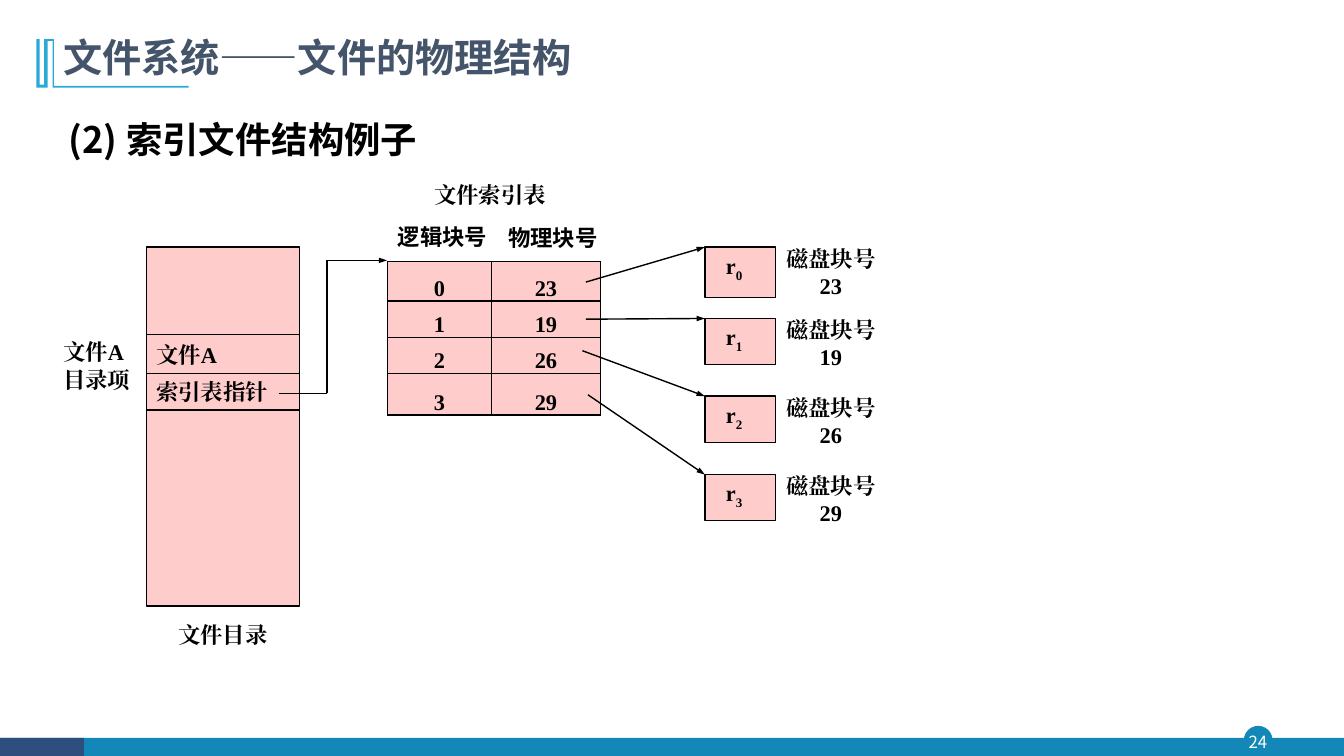
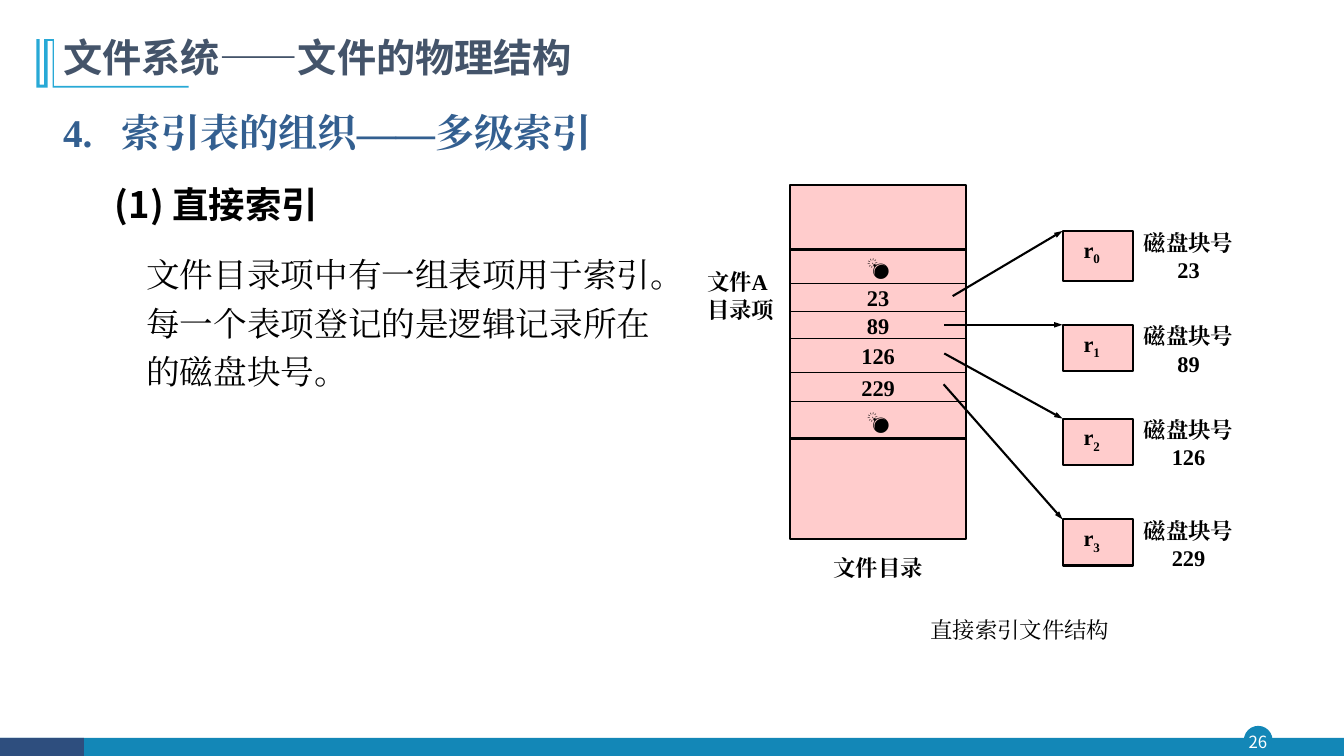
from itertools import pairwise

from pptx import Presentation
from pptx.dml.color import RGBColor
from pptx.enum.shapes import MSO_CONNECTOR as CONNECTOR, MSO_SHAPE as SHAPE
from pptx.enum.text import MSO_ANCHOR as ANCHOR, PP_ALIGN as ALIGN
from pptx.oxml.ns import qn
from pptx.oxml.xmlchemy import OxmlElement
from pptx.util import Pt

BLACK = RGBColor(0x00, 0x00, 0x00)
WHITE = RGBColor(0xFF, 0xFF, 0xFF)
PINK = RGBColor(0xFF, 0xCC, 0xCC)
TEAL = RGBColor(0x13, 0x87, 0xB7)
NAVY = RGBColor(0x2E, 0x4E, 0x7E)
CYAN = RGBColor(0x28, 0xA9, 0xD6)
SLATE = RGBColor(0x44, 0x54, 0x6A)
BLUE = RGBColor(0x33, 0x5F, 0x90)

SERIF = "Times New Roman"
SANS = "Noto Sans CJK SC"
ARIAL = "Arial"

TITLE = "文件系统——文件的物理结构"
MARK_OUTLINE = [
    (38.6, 28), (38.6, 61.3), (134.8, 61.3), (134.8, 62.5), (37.6, 62.5), (37.6, 29.3),
    (34, 29.3), (34, 62.5), (26, 62.5), (26, 28), (28.3, 28), (28.3, 60.5),
    (31.5, 60.5), (31.5, 28),
]


def add_element(parent, tag, **attributes):
    """Append an XML child with the given attributes."""
    child = OxmlElement(tag)
    for name, value in attributes.items():
        child.set(name, str(value))
    parent.append(child)
    return child


def write_text(frame, text, *, size=16, bold=True, font=SERIF, color=BLACK, align=ALIGN.LEFT,
               anchor=ANCHOR.TOP, inset=(7.2, 0), line=None, hanging=0, subscript=""):
    """Fill a text frame, one paragraph for each line of text."""
    frame.word_wrap = True
    frame.vertical_anchor = anchor
    frame.margin_left, frame.margin_right = Pt(inset[0]), Pt(min(inset[0], 7.2))
    frame.margin_top = frame.margin_bottom = Pt(inset[1])
    for index, content in enumerate(text.split("\n")):
        paragraph = frame.add_paragraph() if index else frame.paragraphs[0]
        paragraph.alignment = align
        if line:
            paragraph.line_spacing = Pt(line)
        if hanging:
            properties = paragraph._p.get_or_add_pPr()
            properties.set("marL", str(Pt(hanging)))
            properties.set("indent", str(-Pt(hanging)))
        for part in filter(None, (content, subscript)):
            run = paragraph.add_run()
            run.text = part
            run.font.size = Pt(size)
            run.font.bold = bold
            run.font.name = font
            run.font.color.rgb = color
            properties = run._r.get_or_add_rPr()
            add_element(properties, "a:ea", typeface=font)
            if part is subscript:
                properties.set("baseline", "-25000")


def add_label(slide, box, text, **style):
    """Add a text box at left, top, width, height."""
    shape = slide.shapes.add_textbox(*map(Pt, box))
    write_text(shape.text_frame, text, **style)


def paint(shape, fill, line=None, weight=1):
    """Give a shape a flat fill and an optional outline."""
    shape.shadow.inherit = False
    shape.fill.solid()
    shape.fill.fore_color.rgb = fill
    if line is None:
        shape.line.fill.background()
    else:
        shape.line.color.rgb = line
        shape.line.width = Pt(weight)


def add_box(slide, box, fill, line=None, weight=1, kind=SHAPE.RECTANGLE):
    """Add a painted preset shape."""
    shape = slide.shapes.add_shape(kind, *map(Pt, box))
    paint(shape, fill, line, weight)
    return shape


def add_line(slide, start, end, weight=1, arrow=False):
    """Draw a straight black line, with an arrowhead at its end if asked."""
    connector = slide.shapes.add_connector(CONNECTOR.STRAIGHT, *map(Pt, (*start, *end)))
    connector.line.color.rgb = BLACK
    connector.line.width = Pt(weight)
    properties = connector._element.spPr
    if arrow:
        add_element(properties.find(qn("a:ln")), "a:tailEnd", type="triangle", w="sm", len="med")
    add_element(properties, "a:effectLst")


def add_frame(slide, number):
    """Draw the title, its mark, the footer band and the page number."""
    add_box(slide, (889, 519, 19.5, 19.5), TEAL, TEAL, kind=SHAPE.OVAL)
    add_box(slide, (0, 527, 960, 13), TEAL)
    add_box(slide, (0, 527, 60, 13), NAVY)
    add_label(slide, (887, 519, 23, 22), str(number), size=12, bold=False, font=SANS,
              color=WHITE, align=ALIGN.CENTER, anchor=ANCHOR.MIDDLE, inset=(0, 0))
    start, *rest = [(Pt(x), Pt(y)) for x, y in MARK_OUTLINE]
    builder = slide.shapes.build_freeform(*start)
    builder.add_line_segments(rest, close=True)
    paint(builder.convert_to_shape(), CYAN)
    add_label(slide, (38, 20.5, 755, 40), TITLE, size=28, font=SANS, color=SLATE,
              anchor=ANCHOR.MIDDLE)


def add_directory(slide, box, dividers, entries, label_top, weight, align):
    """Draw a file directory whose entries lie between its dividers."""
    left, top, width, height = box
    add_box(slide, box, PINK, BLACK, weight)
    for offset, thickness in dividers:
        y = top + offset
        add_line(slide, (left, y), (left + width, y), thickness)
    for text, ((upper, _), (lower, _)) in zip(entries, pairwise(dividers)):
        add_label(slide, (left, top + upper, width, lower - upper), text,
                  font=ARIAL if text == "💣" else SERIF, align=align, anchor=ANCHOR.MIDDLE)
    add_label(slide, (left - 66.5, top + label_top, 75, 40), "文件A\n目录项", line=19.5)
    add_label(slide, (left, top + height + 11, width, 24), "文件目录", align=ALIGN.CENTER)


def add_disk_blocks(slide, left, blocks, weight):
    """Draw numbered disk blocks, each with its label and incoming arrow."""
    for index, (top, number, start) in enumerate(blocks):
        shape = add_box(slide, (left, top, 50.5, 33 if index else 36), PINK, BLACK, weight)
        write_text(shape.text_frame, "r", subscript=str(index), inset=(15, 3.6))
        add_label(slide, (left + 45, top - 2, 90, 40), f"磁盘块号\n{number}",
                  align=ALIGN.CENTER, line=19.5)
        add_line(slide, start, (left, top), weight, arrow=True)


def add_index_table(slide, left, top, numbers):
    """Draw the index table with its title and column headings."""
    widths, heights = (74, 78), (28, 26, 26, 29.5)
    graphic = slide.shapes.add_table(len(numbers), 2, *map(Pt, (left, top, sum(widths), sum(heights))))
    table = graphic.table
    table.first_row = table.horz_banding = False
    for column, width in zip(table.columns, widths):
        column.width = Pt(width)
    for index, (number, height) in enumerate(zip(numbers, heights)):
        table.rows[index].height = Pt(height)
        for cell, value in zip(table.rows[index].cells, (index, number)):
            write_text(cell.text_frame, str(value), align=ALIGN.CENTER)
            cell.vertical_anchor = ANCHOR.BOTTOM
            cell.margin_top = cell.margin_bottom = 0
            properties = cell._tc.get_or_add_tcPr()
            for side in ("L", "R", "T", "B"):
                border = add_element(properties, f"a:ln{side}", w=Pt(1))
                add_element(add_element(border, "a:solidFill"), "a:srgbClr", val=BLACK)
            cell.fill.solid()
            cell.fill.fore_color.rgb = PINK
    headings = [(23, -58, 100, "文件索引表", SERIF), (-6, -28, 90, "逻辑块号", ARIAL),
                (73, -27, 90, "物理块号", ARIAL)]
    for x, y, width, text, font in headings:
        add_label(slide, (left + x, top + y, width, 20), text, font=font,
                  align=ALIGN.CENTER, anchor=ANCHOR.MIDDLE)


def build_index_example(slide):
    """Build the slide with the indexed file example."""
    add_frame(slide, 24)
    add_label(slide, (42, 79, 550, 40), "(2) 索引文件结构例子", size=26, font=SANS,
              anchor=ANCHOR.MIDDLE)
    add_directory(slide, (104.5, 176.5, 109.5, 256.5), [(62.5, 1), (90.5, 1), (116.5, 1)],
                  ["文件A", "索引表指针"], 65, 1, ALIGN.LEFT)
    add_index_table(slide, 277, 187, [23, 19, 26, 29])
    corners = [(199, 281), (233.5, 281), (233.5, 186), (276.5, 186)]
    for start, end in pairwise(corners):
        add_line(slide, start, end, arrow=end == corners[-1])
    add_disk_blocks(slide, 503.5, [
        (176.5, 23, (418.5, 201.5)),
        (227.5, 19, (418.5, 228)),
        (283, 26, (416, 250.5)),
        (339, 29, (420, 282)),
    ], 1)


def build_direct_index(slide):
    """Build the slide on direct indexing."""
    add_frame(slide, 26)
    add_label(slide, (38, 74, 655, 40), "4.\t索引表的组织——多级索引", size=28, color=BLUE,
              anchor=ANCHOR.MIDDLE, hanging=42)
    add_label(slide, (75, 125.5, 400, 40), "(1) 直接索引", size=26, font=SANS,
              anchor=ANCHOR.MIDDLE)
    add_label(slide, (97.5, 176, 391, 110),
              "文件目录项中有一组表项用于索引。每一个表项登记的是逻辑记录所在的磁盘块号。",
              size=24, bold=False, line=34.5)
    dividers = [(46, 2), (70.5, 0.75), (90.5, 0.75), (110, 0.75), (134, 0.75), (155, 0.75), (181.5, 2)]
    add_directory(slide, (564.5, 132, 125.5, 253), dividers,
                  ["💣", "23", "89", "126", "229", "💣"], 59.5, 1.5, ALIGN.CENTER)
    add_disk_blocks(slide, 759, [
        (165, 23, (680.5, 211.5)),
        (232, 89, (674.5, 232)),
        (299, 126, (674.5, 252.5)),
        (371, 229, (674, 274.5)),
    ], 1.5)
    add_label(slide, (651.5, 436, 154, 27), "直接索引文件结构", bold=False,
              align=ALIGN.CENTER, anchor=ANCHOR.MIDDLE)


def main():
    """Build and save the presentation."""
    presentation = Presentation()
    presentation.slide_width, presentation.slide_height = Pt(960), Pt(540)
    for build in (build_index_example, build_direct_index):
        build(presentation.slides.add_slide(presentation.slide_layouts[6]))
    presentation.save("out.pptx")


if __name__ == "__main__":
    main()
